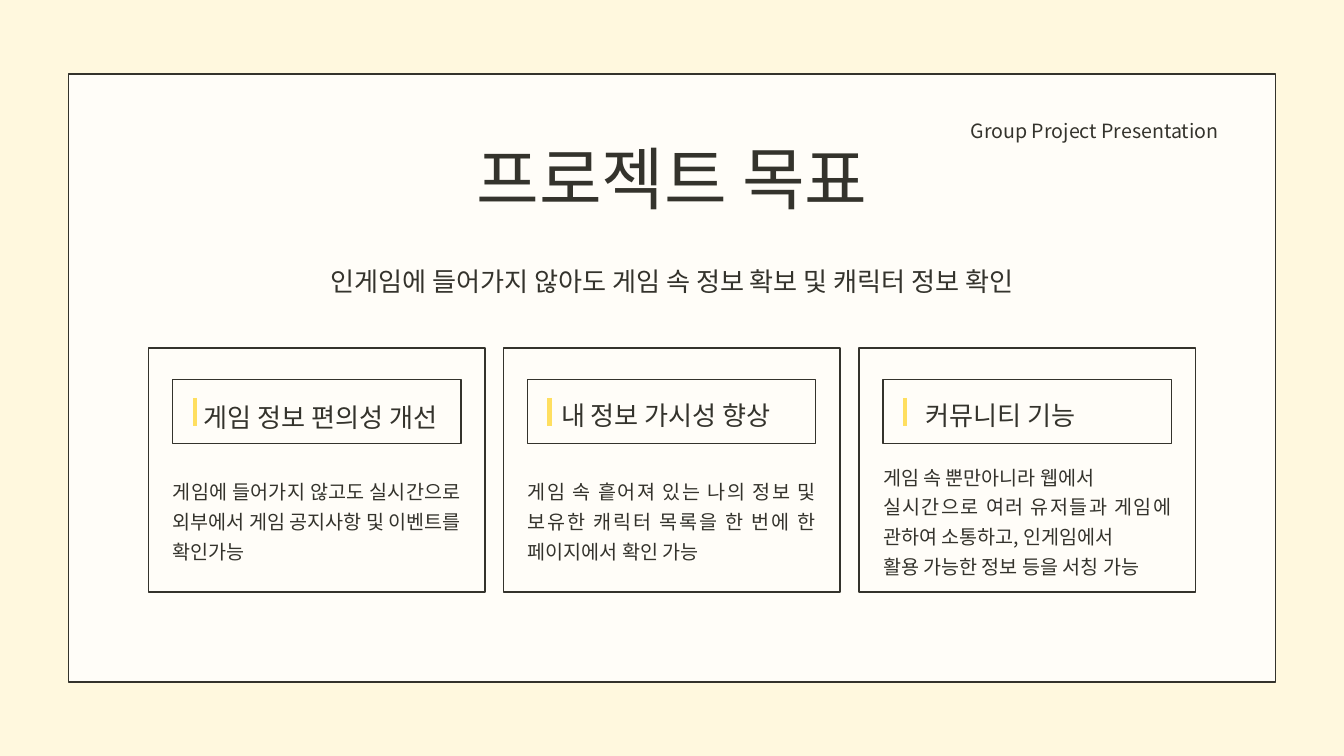
from pptx import Presentation
from pptx.dml.color import RGBColor
from pptx.enum.shapes import MSO_CONNECTOR as Conn, MSO_SHAPE as Shape
from pptx.enum.text import MSO_AUTO_SIZE as AutoSize, PP_ALIGN as Align
from pptx.oxml.ns import qn
from pptx.util import Pt
from lxml.etree import SubElement

PX = 9144  # EMU in one px, 100 px to the inch
FONT = "Noto Sans CJK KR"
CREAM = RGBColor(0xFF, 0xF8, 0xDE)
PAPER = RGBColor(0xFF, 0xFD, 0xF8)
INK = RGBColor(0x34, 0x33, 0x2C)
YELLOW = RGBColor(0xFF, 0xDF, 0x60)

# Heading, its left offset and top, body top, body paragraphs
CARDS = [
    ("게임 정보 편의성 개선", 82, 584, 704,
     ["게임에 들어가지 않고도 실시간으로 외부에서 게임 공지사항 및 이벤트를 확인가능"]),
    ("내 정보 가시성 향상", 86, 582, 704,
     ["게임 속 흩어져 있는 나의 정보 및 보유한 캐릭터 목록을 한 번에 한 페이지에서 확인 가능"]),
    ("커뮤니티 기능", 99, 582, 683,
     ["게임 속 뿐만아니라 웹에서",
      "실시간으로 여러 유저들과 게임에 관하여 소통하고, 인게임에서",
      "활용 가능한 정보 등을 서칭 가능"]),
]
CARD_LEFT, CARD_PITCH = 221, 528.5


class Painter:
    def __init__(self, slide):
        self.s = slide

    def background(self, color):
        fill = self.s.background.fill
        fill.solid()
        fill.fore_color.rgb = color

    def box(self, *area):
        sp = self.s.shapes.add_shape(Shape.RECTANGLE, *(v * PX for v in area))
        sp.shadow.inherit = False
        sp.fill.solid()
        sp.fill.fore_color.rgb = PAPER
        sp.line.color.rgb = INK
        sp.line.width = Pt(1.5)

    def bar(self, x, top, bottom):
        ends = (v * PX for v in (x, top, x, bottom))
        line = self.s.shapes.add_connector(Conn.STRAIGHT, *ends)
        line.line.color.rgb = YELLOW
        line.line.width = Pt(5)
        SubElement(line._element.spPr, qn("a:effectLst"))

    def text(self, area, paragraphs, size, spacing, align=Align.LEFT):
        tf = self.s.shapes.add_textbox(*(v * PX for v in area)).text_frame
        tf.margin_left = tf.margin_top = tf.margin_right = tf.margin_bottom = 0
        tf.word_wrap = True
        tf.auto_size = AutoSize.SHAPE_TO_FIT_TEXT
        tf.text = "\n".join(paragraphs)
        for p in tf.paragraphs:
            p.alignment = align
            p.line_spacing = Pt(spacing)
            for r in p.runs:
                r.font.size = Pt(size)
                r.font.name = FONT
                r.font.color.rgb = INK
                SubElement(r.font._element, qn("a:ea")).set("typeface", FONT)


def main():
    prs = Presentation()
    prs.slide_width, prs.slide_height = 2000 * PX, 1125 * PX
    paint = Painter(prs.slides.add_slide(prs.slide_layouts[6]))

    # Page and headings
    paint.background(CREAM)
    paint.box(102, 110, 1796, 905)
    paint.text((622, 194, 756, 128), ["프로젝트 목표"], 73, 94.2, Align.CENTER)
    paint.text((1371, 168, 442, 40), ["Group Project Presentation"], 21, 32.1, Align.RIGHT)
    paint.text((221, 382, 1558, 54), ["인게임에 들어가지 않아도 게임 속 정보 확보 및 캐릭터 정보 확인"],
               28, 42.8, Align.CENTER)

    # Three goal cards
    for i, (heading, offset, heading_top, body_top, body) in enumerate(CARDS):
        x = CARD_LEFT + round(i * CARD_PITCH)
        paint.box(x, 518, 501, 363)
        paint.box(x + 36, 565, 429, 95)
        paint.text((x + offset, heading_top, 366, 54), [heading], 28, 42.8)
        paint.bar(x + 69, 592, 634)
        paint.text((x + 36, body_top, 429, 128), body, 21, 32.1, Align.JUSTIFY)

    prs.save("out.pptx")


if __name__ == "__main__":
    main()
